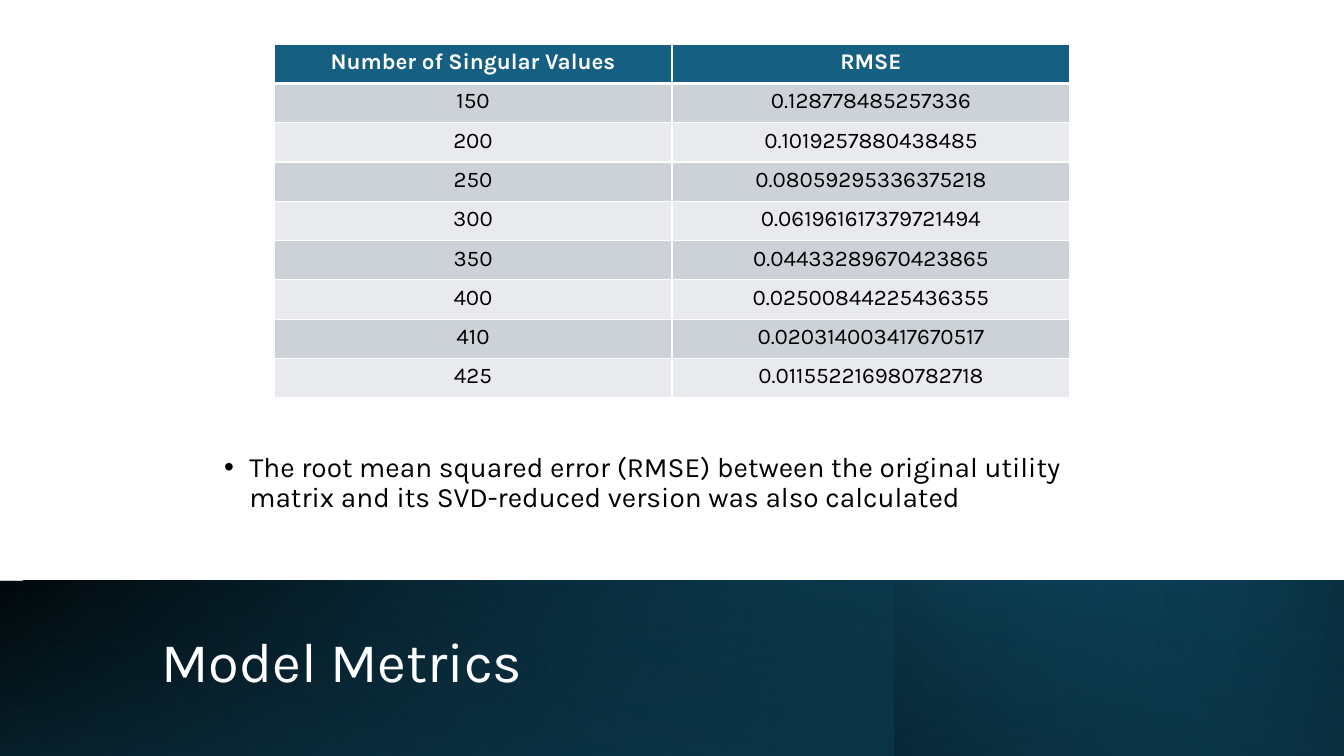
"""Build the Model Metrics slide: an RMSE table above a gradient title band."""
import dataclasses

import lxml.etree
import pptx
import pptx.dml.color
import pptx.enum.shapes
import pptx.enum.text
import pptx.oxml
import pptx.oxml.ns
import pptx.util


@dataclasses.dataclass(frozen=True)
class Theme:
    font: str = "Karla"
    white: str = "FFFFFF"
    black: str = "000000"
    teal: str = "156082"
    navy: str = "0B3041"
    stripes: tuple = ("CCD2D8", "E8EAED")
    title_size: int = 40
    body_size: int = 20
    table_size: int = 16


class SlideBuilder:
    EMU_PER_PX = 9525

    def __init__(self, deck, theme):
        self.theme = theme
        self.slide = deck.slides.add_slide(deck.slide_layouts[5])

    @classmethod
    def px(cls, *lengths):
        return [pptx.util.Emu(length * cls.EMU_PER_PX) for length in lengths]

    def set_font(self, paragraph, size, color, bold=False):
        paragraph.font.name = self.theme.font
        paragraph.font.size = pptx.util.Pt(size)
        paragraph.font.bold = bold
        paragraph.font.color.rgb = pptx.dml.color.RGBColor.from_string(color)

    def gradient_band(self, box, stops, angle, rotation=0):
        band = self.slide.shapes.add_shape(
            pptx.enum.shapes.MSO_SHAPE.RECTANGLE, *self.px(*box))
        band.shadow.inherit = False
        band.line.fill.background()
        band.rotation = rotation
        properties = band.element.spPr
        if not rotation:
            properties.xfrm.set("flipH", "1")
        stop_xml = "".join(
            f'<a:gs pos="{position * 1000}"><a:srgbClr val="{color}">'
            f'<a:alpha val="{alpha * 1000}"/></a:srgbClr></a:gs>'
            for position, color, alpha in stops)
        gradient = pptx.oxml.parse_xml(
            f'<a:gradFill {pptx.oxml.ns.nsdecls("a")} rotWithShape="1">'
            f'<a:gsLst>{stop_xml}</a:gsLst>'
            f'<a:lin ang="{angle * 60000}" scaled="0"/></a:gradFill>')
        properties.find(pptx.oxml.ns.qn("a:prstGeom")).addnext(gradient)

    def title(self, box, text):
        heading = self.slide.shapes.title
        heading.left, heading.top, heading.width, heading.height = self.px(*box)
        heading.element.getparent().append(heading.element)
        frame = heading.text_frame
        frame.text = text
        frame.auto_size = pptx.enum.text.MSO_AUTO_SIZE.NONE
        frame.vertical_anchor = pptx.enum.text.MSO_ANCHOR.MIDDLE
        paragraph = frame.paragraphs[0]
        paragraph.alignment = pptx.enum.text.PP_ALIGN.LEFT
        paragraph.line_spacing = 0.9
        self.set_font(paragraph, self.theme.title_size, self.theme.white)

    def bullet(self, box, text):
        frame = self.slide.shapes.add_textbox(*self.px(*box)).text_frame
        frame.word_wrap = True
        frame.vertical_anchor = pptx.enum.text.MSO_ANCHOR.MIDDLE
        frame.text = text
        paragraph = frame.paragraphs[0]
        paragraph.line_spacing = 0.9
        paragraph.space_before = pptx.util.Pt(10)
        properties = paragraph._p.get_or_add_pPr()
        indent = pptx.util.Inches(0.25)
        properties.set("marL", str(indent))
        properties.set("indent", str(-indent))
        qn = pptx.oxml.ns.qn
        lxml.etree.SubElement(properties, qn("a:buFont"), typeface="Arial")
        lxml.etree.SubElement(properties, qn("a:buChar"), char="•")
        self.set_font(paragraph, self.theme.body_size, self.theme.black)

    def cell_borders(self, cell, widths):
        properties = cell._tc.get_or_add_tcPr()
        for index, (side, points) in enumerate(widths.items()):
            properties.insert(index, pptx.oxml.parse_xml(
                f'<a:ln{side} {pptx.oxml.ns.nsdecls("a")} w="{pptx.util.Pt(points)}">'
                f'<a:solidFill><a:srgbClr val="{self.theme.white}"/></a:solidFill>'
                f'</a:ln{side}>'))

    def table(self, box, rows):
        grid = self.slide.shapes.add_table(
            len(rows), len(rows[0]), *self.px(*box)).table
        grid.horz_banding = False
        for row_index, row in enumerate(rows):
            header = row_index == 0
            fill = self.theme.teal if header else self.theme.stripes[(row_index - 1) % 2]
            color = self.theme.white if header else self.theme.black
            borders = {"L": 1, "R": 1, "T": 3 if row_index == 1 else 1,
                       "B": 3 if header else 1}
            for column_index, text in enumerate(row):
                cell = grid.cell(row_index, column_index)
                cell.text = text
                cell.fill.solid()
                cell.fill.fore_color.rgb = pptx.dml.color.RGBColor.from_string(fill)
                self.cell_borders(cell, borders)
                paragraph = cell.text_frame.paragraphs[0]
                paragraph.alignment = pptx.enum.text.PP_ALIGN.CENTER
                self.set_font(paragraph, self.theme.table_size, color, header)


METRICS = [
    ("Number of Singular Values", "RMSE"),
    ("150", "0.128778485257336"),
    ("200", "0.1019257880438485"),
    ("250", "0.08059295336375218"),
    ("300", "0.061961617379721494"),
    ("350", "0.04433289670423865"),
    ("400", "0.02500844225436355"),
    ("410", "0.020314003417670517"),
    ("425", "0.011552216980782718"),
]


def main():
    deck = pptx.Presentation()
    deck.slide_width, deck.slide_height = SlideBuilder.px(1280, 720)
    theme = Theme()
    builder = SlideBuilder(deck, theme)
    band = (0, 553, 1280, 167)
    builder.gradient_band(band, [(0, theme.black, 100), (100, theme.teal, 100)], 140)
    builder.gradient_band(band, [(0, theme.teal, 0), (100, theme.navy, 100)], 170)
    builder.gradient_band((852, 553, 428, 167),
                          [(0, theme.navy, 100), (100, theme.teal, 0)], 220)
    builder.gradient_band((-1, 553, 1280, 168),
                          [(0, theme.black, 0), (99, theme.navy, 55)], 280, rotation=180)
    builder.title((144, 579, 1039, 108), "Model Metrics")
    builder.bullet((204, 402, 875, 117),
                   "The root mean squared error (RMSE) between the original utility "
                   "matrix and its SVD-reduced version was also calculated")
    builder.table((261, 42, 758, 337), METRICS)
    deck.save("out.pptx")


if __name__ == "__main__":
    main()
